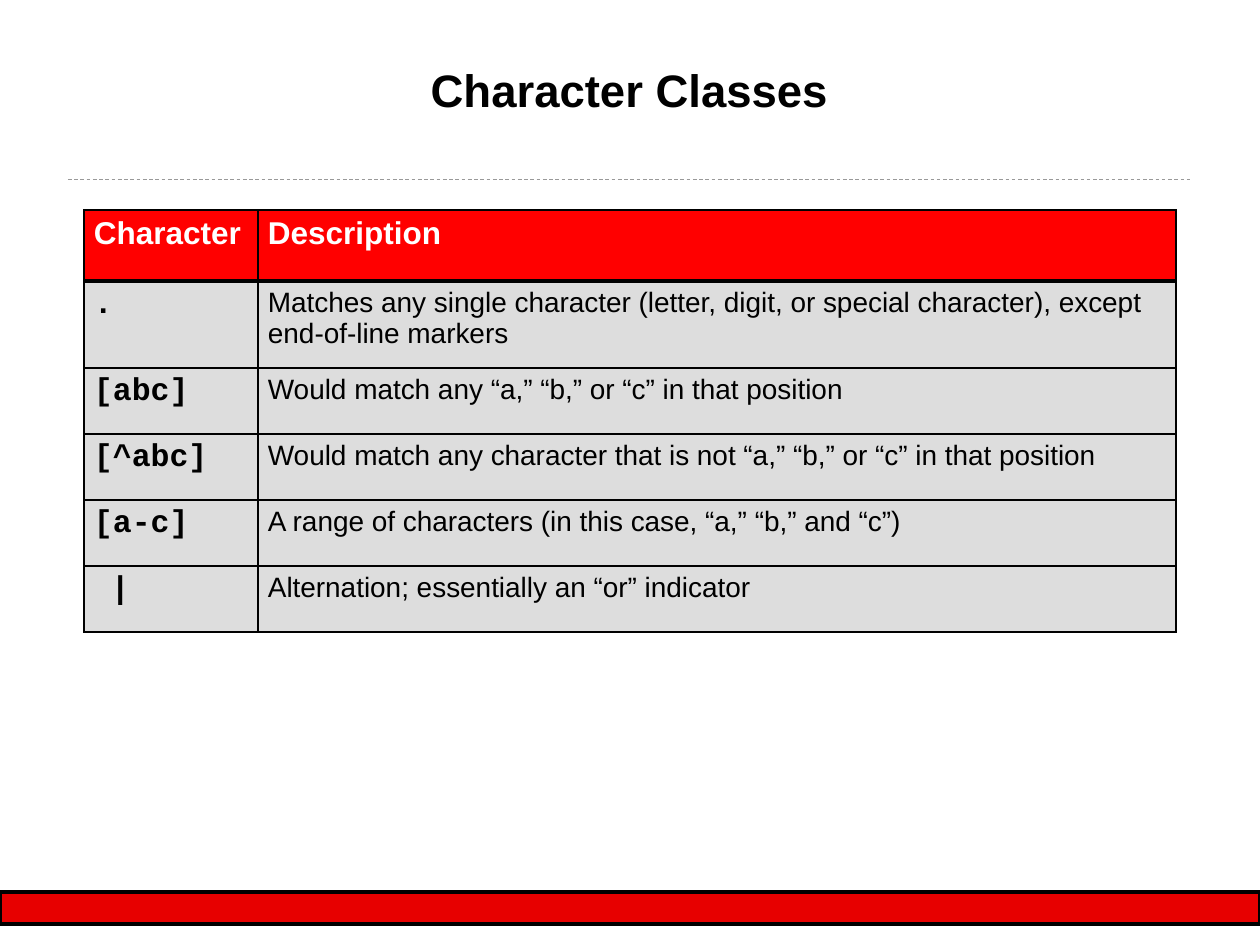
"""Build the Character Classes slide: title, dashed rule, table and footer bar."""
from lxml import etree
from pptx import Presentation
from pptx.dml.color import RGBColor
from pptx.enum.dml import MSO_LINE
from pptx.enum.shapes import MSO_CONNECTOR, MSO_SHAPE
from pptx.enum.text import MSO_ANCHOR, PP_ALIGN
from pptx.oxml.ns import qn
from pptx.util import Pt

DASH, STRAIGHT = MSO_LINE.DASH, MSO_CONNECTOR.STRAIGHT
PROCESS, TOP, CENTER = MSO_SHAPE.FLOWCHART_PROCESS, MSO_ANCHOR.TOP, PP_ALIGN.CENTER
PX = 914400 / 126
MARGINS = ("margin_left", "margin_top", "margin_right", "margin_bottom")


def rgb(value):
    return RGBColor.from_string(value)


def write(p, text, color="000000", **formats):
    r = p.add_run()
    r.text = text
    r.font.color.rgb = rgb(color)
    for name, value in formats.items():
        setattr(r.font, name, value)


prs = Presentation()
prs.slide_width, prs.slide_height = round(1260 * PX), round(945 * PX)
s = prs.slides.add_slide(prs.slide_layouts[6])

rule = s.shapes.add_connector(STRAIGHT, *(round(v * PX) for v in (68, 179, 1192, 179)))
rule.line.color.rgb = rgb("999999")
rule.line.width = Pt(0.5)
rule.line.dash_style = DASH
etree.SubElement(rule._element.spPr, qn("a:effectLst"))

bar = s.shapes.add_shape(PROCESS, *(round(v * PX) for v in (0, 892, 1260, 32)))
bar.shadow.inherit = False
bar.fill.solid()
bar.fill.fore_color.rgb = rgb("E70000")
bar.line.color.rgb = rgb("000000")
bar.line.width = Pt(2.25)

tf = s.shapes.add_textbox(*(round(v * PX) for v in (84, 61, 1091, 121))).text_frame
tf.word_wrap = True
tf.vertical_anchor = TOP
for name in MARGINS:
    setattr(tf, name, round(PX))
p = tf.paragraphs[0]
p.alignment = CENTER
write(p, "Character Classes", size=Pt(26), name="Arial", bold=True)

rows = [
    ("Character", "Description"),
    (".", "Matches any single character (letter, digit, or special character), except end-of-line markers"),
    ("[abc]", "Would match any “a,” “b,” or “c” in that position"),
    ("[^abc]", "Would match any character that is not “a,” “b,” or “c” in that position"),
    ("[a-c]", "A range of characters (in this case, “a,” “b,” and “c”)"),
    ("|", "Alternation; essentially an “or” indicator"),
]
widths = (174, 918)
heights = (71, 87, 66, 66, 66, 66)
header = {"color": "FFFFFF", "size": Pt(18), "name": "Arial", "bold": True}
code = {"size": Pt(18), "name": "Courier New", "bold": True}
body = {"size": Pt(16), "name": "Arial", "bold": False}

box = (84, 210, sum(widths), sum(heights))
table = s.shapes.add_table(len(rows), len(widths), *(round(v * PX) for v in box)).table
table.first_row = table.horz_banding = False
for column, width in zip(table.columns, widths):
    column.width = round(width * PX)
for i, (row, height) in enumerate(zip(rows, heights)):
    table.rows[i].height = round(height * PX)
    for j, text in enumerate(row):
        cell = table.cell(i, j)
        for name, margin in zip(MARGINS, (27 if text == "|" else 10, 6, 10, 6)):
            setattr(cell, name, round(margin * PX))
        cell.vertical_anchor = TOP
        tcPr = cell._tc.get_or_add_tcPr()
        for side in "LRTB":
            heavy = (i, side) in ((0, "B"), (1, "T"))
            ln = etree.SubElement(tcPr, qn(f"a:ln{side}"), w=str(Pt(2.21 if heavy else 1.08)))
            fill = etree.SubElement(ln, qn("a:solidFill"))
            etree.SubElement(fill, qn("a:srgbClr"), val="000000")
        cell.fill.solid()
        cell.fill.fore_color.rgb = rgb("DDDDDD" if i else "FF0000")
        formats = header if i == 0 else body if j else code
        write(cell.text_frame.paragraphs[0], text, **formats)

prs.save("out.pptx")
